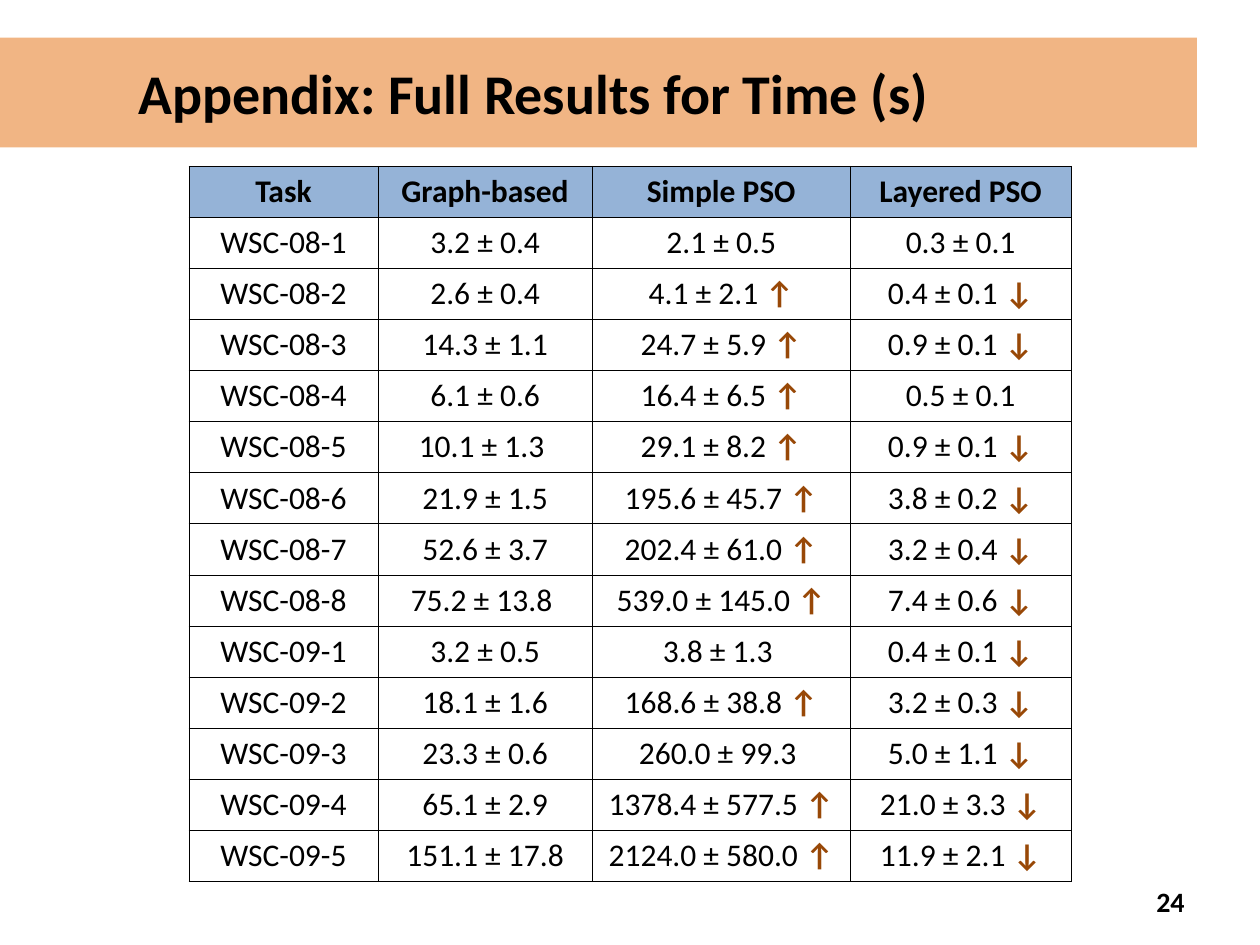
from lxml.etree import SubElement
from pptx import Presentation
from pptx.dml.color import RGBColor
from pptx.enum.text import MSO_ANCHOR as Anchor, MSO_AUTO_SIZE as Fit, PP_ALIGN as Align
from pptx.oxml.ns import qn
from pptx.util import Cm, Pt

# Content
TITLE = "Appendix: Full Results for Time (s)"
PAGE = "24"
HEAD = ("Task", "Graph-based", "Simple PSO", "Layered PSO")
ROWS = [
    ("WSC-08-1", "3.2 ± 0.4", "2.1 ± 0.5", "0.3 ± 0.1"),
    ("WSC-08-2", "2.6 ± 0.4", "4.1 ± 2.1 ↑", "0.4 ± 0.1 ↓"),
    ("WSC-08-3", "14.3 ± 1.1", "24.7 ± 5.9 ↑", "0.9 ± 0.1 ↓"),
    ("WSC-08-4", "6.1 ± 0.6", "16.4 ± 6.5 ↑", "0.5 ± 0.1"),
    ("WSC-08-5", "10.1 ± 1.3 ", "29.1 ± 8.2 ↑", "0.9 ± 0.1 ↓"),
    ("WSC-08-6", "21.9 ± 1.5", "195.6 ± 45.7 ↑", "3.8 ± 0.2 ↓"),
    ("WSC-08-7", "52.6 ± 3.7", "202.4 ± 61.0 ↑", "3.2 ± 0.4 ↓"),
    ("WSC-08-8", "75.2 ± 13.8 ", "539.0 ± 145.0 ↑", "7.4 ± 0.6 ↓"),
    ("WSC-09-1", "3.2 ± 0.5", "3.8 ± 1.3 ", "0.4 ± 0.1 ↓"),
    ("WSC-09-2", "18.1 ± 1.6", "168.6 ± 38.8 ↑", "3.2 ± 0.3 ↓"),
    ("WSC-09-3", "23.3 ± 0.6", "260.0 ± 99.3 ", "5.0 ± 1.1 ↓"),
    ("WSC-09-4", "65.1 ± 2.9", "1378.4 ± 577.5 ↑", "21.0 ± 3.3 ↓"),
    ("WSC-09-5", "151.1 ± 17.8", "2124.0 ± 580.0 ↑", "11.9 ± 2.1 ↓"),
]
WIDTHS = (3.81, 4.32, 5.2, 4.45)
ROW_H = 1.03
BLACK, WHITE, BLUE, ORANGE, BROWN = "000000", "FFFFFF", "95B3D7", "E46C0A", "984807"


def paint(target, color):
    """Give a fill a solid colour."""
    target.solid()
    target.fore_color.rgb = RGBColor.from_string(color)


def style(par, size, bold, align):
    par.alignment = align
    font = par.font
    font.name, font.size, font.bold = "Calibri", Pt(size), bold
    paint(font.fill, BLACK)


def border(cell):
    props = cell._tc.get_or_add_tcPr()
    for side in ("lnL", "lnR", "lnT", "lnB"):
        line = SubElement(props, qn(f"a:{side}"), w=str(Pt(0.45)))
        fill = SubElement(line, qn("a:solidFill"))
        SubElement(fill, qn("a:srgbClr"), val=BLACK)


def fill_cell(cell, text, head):
    border(cell)
    paint(cell.fill, BLUE if head else WHITE)
    par = cell.text_frame.paragraphs[0]
    style(par, 18, head, Align.CENTER)
    value = text.rstrip("↑↓")
    par.add_run().text = value
    arrow = text[len(value):]
    if arrow:
        run = par.add_run()
        run.text = arrow
        run.font.bold = True
        paint(run.font.fill, BROWN)


deck = Presentation()
deck.slide_width, deck.slide_height = Cm(25.4), Cm(19.05)
slide = deck.slides.add_slide(deck.slide_layouts[5])

# Title band, half transparent
title = slide.shapes.title
title.left, title.top, title.width, title.height = Cm(0), Cm(0.76), Cm(24.13), Cm(2.21)
paint(title.fill, ORANGE)
tint = title._element.spPr.find(f".//{qn('a:srgbClr')}")
SubElement(tint, qn("a:alpha"), val="50000")
frame = title.text_frame
frame.text = TITLE
frame.auto_size = Fit.NONE
frame.vertical_anchor = Anchor.MIDDLE
frame.margin_left = Cm(2.79)
style(frame.paragraphs[0], 32, True, Align.LEFT)

# Page number
box = slide.shapes.add_textbox(Cm(18.21), Cm(17.65), Cm(5.92), Cm(1.02))
frame = box.text_frame
frame.word_wrap = True
frame.vertical_anchor = Anchor.MIDDLE
frame.text = PAGE
style(frame.paragraphs[0], 16, True, Align.RIGHT)

# Results table
data = [HEAD] + ROWS
table = slide.shapes.add_table(len(data), len(HEAD), Cm(3.81), Cm(3.35),
                               Cm(sum(WIDTHS)), Cm(ROW_H * len(data))).table
table.first_row = table.horz_banding = False
for col, width in zip(table.columns, WIDTHS):
    col.width = Cm(width)
for r, row in enumerate(data):
    table.rows[r].height = Cm(ROW_H)
    for c, text in enumerate(row):
        fill_cell(table.cell(r, c), text, r == 0)

deck.save("out.pptx")
